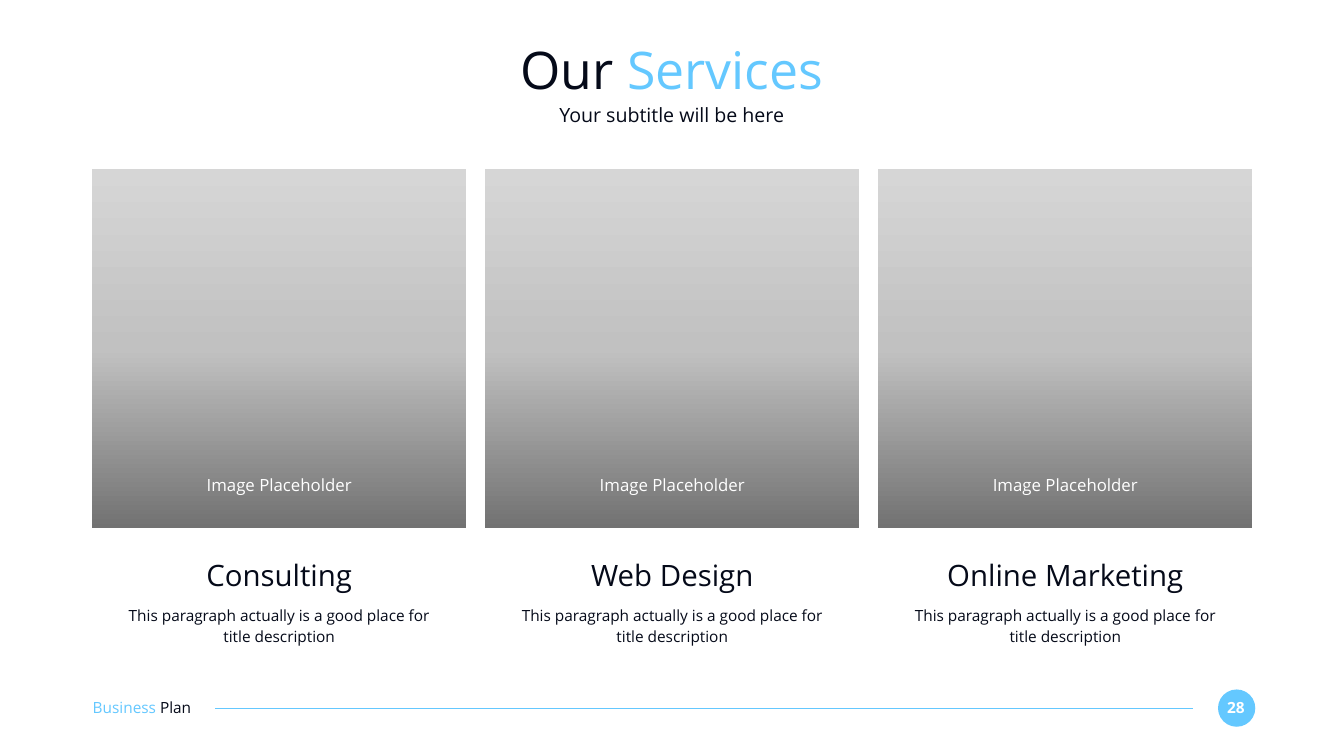
from copy import deepcopy
from pptx import Presentation
from pptx.dml.color import RGBColor
from pptx.enum.shapes import MSO_CONNECTOR, MSO_SHAPE
from pptx.enum.text import MSO_ANCHOR, MSO_AUTO_SIZE, PP_ALIGN
from pptx.oxml.ns import qn
from pptx.util import Inches, Pt
from lxml import etree

COLORS = {"ink": "050A19", "sky": "64C8FF", "white": "FFFFFF",
          "dark": "727272", "mid": "C1C1C1", "light": "D6D6D6"}


def tint(name):
    return RGBColor.from_string(COLORS[name])


def write(box, place, runs, size, align=PP_ALIGN.CENTER, bold=False, lines=1.0):
    """Place a box and fill it with one paragraph of coloured runs."""
    box.left, box.top, box.width, box.height = [Inches(n) for n in place]
    frame = box.text_frame
    frame.word_wrap = True
    frame.auto_size = MSO_AUTO_SIZE.NONE
    frame.vertical_anchor = MSO_ANCHOR.MIDDLE
    frame.margin_left = frame.margin_right = 0
    frame.margin_top = frame.margin_bottom = 0
    para = frame.paragraphs[0]
    para.alignment = align
    para.line_spacing = lines
    para.space_before = Pt(0)
    for text, color in runs:
        run = para.add_run()
        run.text = text
        run.font.name = "Open Sans"
        run.font.size = Pt(size)
        run.font.bold = bold
        run.font.color.rgb = tint(color)


deck = Presentation()
deck.slide_width, deck.slide_height = Inches(26.67), Inches(15)
slide = deck.slides.add_slide(deck.slide_layouts[1])
shapes = slide.shapes

# Title and subtitle
write(shapes.title, (1.83, 0.73, 23, 1.27),
      [("Our ", "ink"), ("Services", "sky")], 74)
body = slide.placeholders[1]
props = body.text_frame.paragraphs[0]._p.get_or_add_pPr()
props.set("marL", "0")
props.set("indent", "0")
etree.SubElement(props, qn("a:buNone"))
write(body, (1.83, 2.03, 23, 0.49), [("Your subtitle will be here", "ink")], 28)

# Service columns
names = ["Consulting", "Web Design", "Online Marketing"]
about = "This paragraph actually is a good place for title description"
stops = [(0, "dark"), (0.5, "mid"), (1, "light")]
for col, name in enumerate(names):
    left = 1.82 + 7.8 * col

    # Image panel, dark at the foot
    panel = shapes.add_shape(MSO_SHAPE.RECTANGLE, Inches(left), Inches(3.36),
                             Inches(7.43), Inches(7.12))
    panel.shadow.inherit = False
    panel.line.fill.background()
    panel.fill.gradient()
    panel.fill.gradient_angle = 90
    first = panel._element.spPr.find(".//" + qn("a:gs"))
    first.addnext(deepcopy(first))
    for stop, (spot, color) in zip(panel.fill.gradient_stops, stops):
        stop.position = spot
        stop.color.rgb = tint(color)

    # Caption, heading and description
    for place, text, size, color, lines in [
        ((left + 1.27, 9.42, 4.9, 0.4), "Image Placeholder", 24, "white", 1.0),
        ((left + 0.63, 11.05, 6.18, 0.71), name, 42, "ink", 1.0),
        ((left + 0.63, 11.93, 6.18, 0.92), about, 22, "ink", 1.15),
    ]:
        write(shapes.add_textbox(0, 0, 0, 0), place, [(text, color)], size,
              lines=lines)

# Footer: label, rule and page number
write(shapes.add_textbox(0, 0, 0, 0), (1.84, 13.84, 2.59, 0.37),
      [("Business ", "sky"), ("Plan", "ink")], 22, PP_ALIGN.LEFT)
rule = shapes.add_connector(MSO_CONNECTOR.STRAIGHT, Inches(23.67), Inches(14.05),
                            Inches(4.27), Inches(14.05))
rule.line.color.rgb = tint("sky")
rule.line.width = Pt(1.5)
etree.SubElement(rule._element.spPr, qn("a:effectLst"))
badge = shapes.add_shape(MSO_SHAPE.OVAL, Inches(24.17), Inches(13.68),
                         Inches(0.74), Inches(0.74))
badge.shadow.inherit = False
badge.fill.solid()
badge.fill.fore_color.rgb = tint("sky")
badge.line.fill.background()
write(shapes.add_textbox(0, 0, 0, 0), (24.23, 13.85, 0.59, 0.37),
      [("28", "white")], 22, bold=True)

deck.save("out.pptx")
